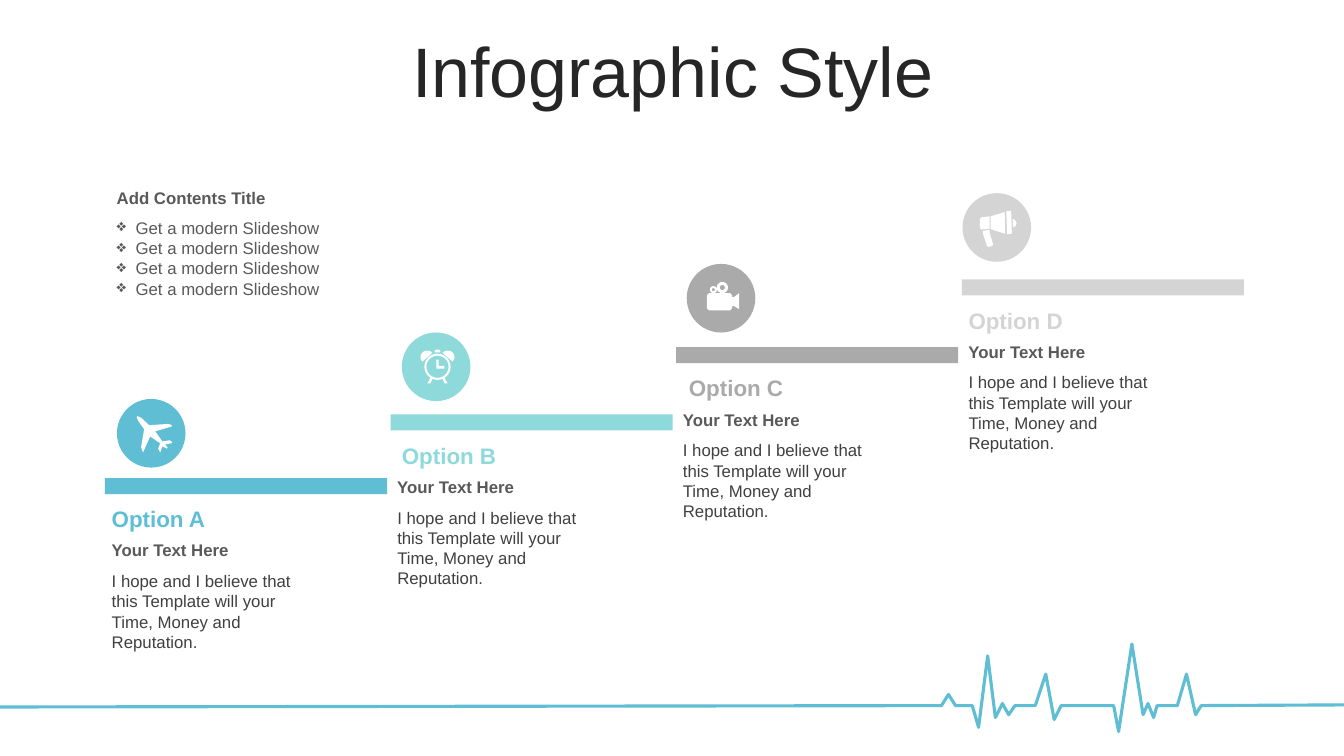
from dataclasses import dataclass
from math import cos, pi, sin

from lxml import etree
from pptx import Presentation
from pptx.dml.color import RGBColor
from pptx.enum import shapes, text
from pptx.oxml import ns
from pptx.util import Pt


@dataclass(frozen=True)
class Theme:
    font: str = "Arial"
    title: str = "262626"
    body: str = "404040"
    label: str = "595959"
    icon: str = "FFFFFF"
    accents: tuple = ("60BED4", "8EDADA", "AAAAAA", "D4D4D4")
    title_size: int = 50
    heading_size: int = 16
    text_size: int = 12


class SlideBuilder:
    def __init__(self, deck, theme):
        self.theme = theme
        self.page = deck.slides.add_slide(deck.slide_layouts[5])

    def add_span(self, para, words, size, color, bold=False):
        span = para.add_run()
        span.text = words
        span.font.name = self.theme.font
        span.font.size = Pt(size)
        span.font.bold = bold
        span.font.color.rgb = RGBColor.from_string(color)

    def title(self, words, left, top, width, height):
        box = self.page.shapes.title
        box.left, box.top, box.width, box.height = map(Pt, (left, top, width, height))
        frame = box.text_frame
        frame.auto_size = text.MSO_AUTO_SIZE.NONE
        frame.vertical_anchor = text.MSO_ANCHOR.MIDDLE
        para = frame.paragraphs[0]
        para.alignment = text.PP_ALIGN.CENTER
        para.line_spacing = 0.8
        self.add_span(para, words, self.theme.title_size, self.theme.title)

    def text(self, lines, left, top, width, height, size, color, bold=False, bullet=None):
        box = self.page.shapes.add_textbox(Pt(left), Pt(top), Pt(width), Pt(height))
        frame = box.text_frame
        frame.word_wrap = True
        for index, words in enumerate(lines):
            para = frame.add_paragraph() if index else frame.paragraphs[0]
            if bullet:
                props = para._p.get_or_add_pPr()
                props.set("marL", str(Pt(13.5)))
                props.set("indent", str(-Pt(13.5)))
                etree.SubElement(props, ns.qn("a:buChar")).set("char", bullet)
            self.add_span(para, words, size, color, bold)

    def shape(self, kind, left, top, width, height, color):
        shape = self.page.shapes.add_shape(kind, Pt(left), Pt(top), Pt(width), Pt(height))
        self.paint(shape, color)

    def paint(self, shape, color):
        shape.shadow.inherit = False
        shape.fill.solid()
        shape.fill.fore_color.rgb = RGBColor.from_string(color)
        shape.line.fill.background()

    def outline(self, contours, center=(0, 0), close=True):
        """Build one freeform from contours given in points around a center."""
        builder = None
        for contour in contours:
            first, *rest = [(100 * (center[0] + x), 100 * (center[1] + y)) for x, y in contour]
            if builder is None:
                builder = self.page.shapes.build_freeform(*first, scale=Pt(0.01))
            else:
                builder.move_to(*first)
            builder.add_line_segments(rest, close=close)
        return builder.convert_to_shape()

    def icon(self, contours, center):
        self.paint(self.outline(contours, center), self.theme.icon)

    def trace(self, points, color, weight):
        line = self.outline([points], close=False)
        line.shadow.inherit = False
        line.fill.background()
        line.line.color.rgb = RGBColor.from_string(color)
        line.line.width = Pt(weight)


def circle(x, y, radius, sides=36):
    angles = [2 * pi * side / sides for side in range(sides)]
    return [(x + radius * cos(angle), y + radius * sin(angle)) for angle in angles]


def mirrored(contour):
    return [(-x, y) for x, y in contour]


def shifted(contours, dx):
    return [[(x + dx, y) for x, y in contour] for contour in contours]


PLANE = [[(15, 7), (10, 8), (11.7, 10), (11.3, 11), (8, 9.4), (6.5, 13.7), (5, 10.8),
          (6.5, 7.2), (-0.7, 2.2), (-5.8, 13.7), (-7.2, 10), (-5, -2.9), (-9, -8.5),
          (-10.4, -11.5), (-9.7, -12.3), (-7, -11), (-1.4, -5.8), (12.2, -6.7),
          (14.5, -6), (15, -5), (2.9, -1.4), (8, 5.8), (13, 5), (14.5, 5.7)]]

BELL = [(-3.6, -10), (-10.8, -3.6), (-12, -5.5), (-12, -8), (-11, -10), (-9.3, -11.2),
        (-7.2, -11.5), (-5.2, -11.2)]
LEG = [(-5, 7.9), (-3.6, 8.6), (-5, 11.8), (-7.2, 11.8)]
CLOCK = shifted([
    circle(0, 0, 9.36), circle(0, 0, 7.9), BELL, mirrored(BELL), LEG, mirrored(LEG),
    [(-0.7, -5), (0.8, -5), (0.8, -0.7), (5, -0.7), (5, 1.4), (-0.7, 1.4)],
    [(-2, -10.3), (-2, -11.5), (-1, -12.3), (1, -12.3), (2, -11.5), (2, -10.3)],
], 1)

CAMERA = [
    [(-10, -2.2), (-8.6, -3.6), (6.5, -3.6), (7.9, -2.2), (7.9, -0.7), (9.2, -0.7),
     (13, -3.6), (13, 7.9), (9.2, 5.5), (7.9, 5.8), (7.9, 7.2), (6.5, 8.6),
     (-8.6, 8.6), (-10, 7.2)],
    circle(1, -7.6, 4), circle(1, -7.6, 1.8),
    circle(-5.4, -6.1, 2.5), circle(-5.4, -6.1, 1.1),
]

MEGAPHONE = [
    [(-12, -6.2), (-11.2, -7.2), (-5, -8), (-5, 1), (-11.2, 1.3), (-12, 0.5)],
    [(-4.3, -8), (5.7, -11), (6, 4.5), (-4.3, 1.2)],
    [(6.8, -11.5), (10.3, -12), (10.8, 4.3), (7.5, 5)],
    [(11.4, -6.2), (13.4, -5), (14.2, -3), (13.4, -1), (11.6, 0)],
    [(-10, 2.3), (-5, 1.8), (-5, 4), (-2.6, 12), (-3.3, 13.2), (-6, 14), (-7, 13),
     (-9.8, 4.5)],
]

BASE = 504
PULSE = [(960, 503.5), (858, BASE), (854, 510.5), (847.5, 481.5), (841, BASE),
         (826.5, BASE), (824, 512.5), (820, 502.5), (816.5, 510.5), (808.5, 460),
         (799, 522.5), (795.5, BASE), (758, BASE), (753, 514), (747, 481.5),
         (739.5, BASE), (725, BASE), (720.5, 510.5), (716, 502.5), (711, 512.5),
         (705.5, 468.5), (699, 519.5), (694.5, BASE), (682.5, BASE), (677.5, 496),
         (672.5, BASE), (0, 505)]

# heading, bar top, badge left, badge top, heading left, icon
STEPS = [
    ("Option A", 341.5, 83.5, 285, 72.7, PLANE),
    ("Option B", 296, 287, 237.5, 280, CLOCK),
    ("Option C", 248, 490.5, 188.5, 485, CAMERA),
    ("Option D", 199.5, 687.5, 138, 684.7, MEGAPHONE),
]
STEP_LEFT, STEP_PITCH = 75, 204
BAR_WIDTH, BAR_HEIGHT, BADGE = 201.5, 11.5, 49
DETAIL = "I hope and I believe that this Template will your Time, Money and Reputation."


def main():
    deck = Presentation()
    deck.slide_width, deck.slide_height = Pt(960), Pt(540)
    theme = Theme()
    page = SlideBuilder(deck, theme)
    page.trace(PULSE, theme.accents[0], 2.25)
    page.title("Infographic Style", 25, 26.5, 911.5, 57)

    for index, (heading, top, badge_left, badge_top, heading_left, icon) in enumerate(STEPS):
        left, color = STEP_LEFT + index * STEP_PITCH, theme.accents[index]
        page.shape(shapes.MSO_SHAPE.RECTANGLE, left, top, BAR_WIDTH, BAR_HEIGHT, color)
        page.text([heading], heading_left, top + 16, 95, 26.5, theme.heading_size, color, True)
        page.text(["Your Text Here"], left - 2.3, top + 40.8, 150, 22,
                  theme.text_size, theme.label, True)
        page.text([DETAIL], left - 2.3, top + 62.8, 151, 65.5, theme.text_size, theme.body)
        page.shape(shapes.MSO_SHAPE.OVAL, badge_left, badge_top, BADGE, BADGE, color)
        page.icon(icon, (badge_left + BADGE / 2, badge_top + BADGE / 2))

    page.text(["Add Contents Title"], 76.3, 130.5, 185, 22, theme.text_size, theme.label, True)
    page.text(["Get a modern Slideshow"] * 4, 76.3, 152, 185, 65.5,
              theme.text_size, theme.label, bullet="❖")
    deck.save("out.pptx")


if __name__ == "__main__":
    main()
